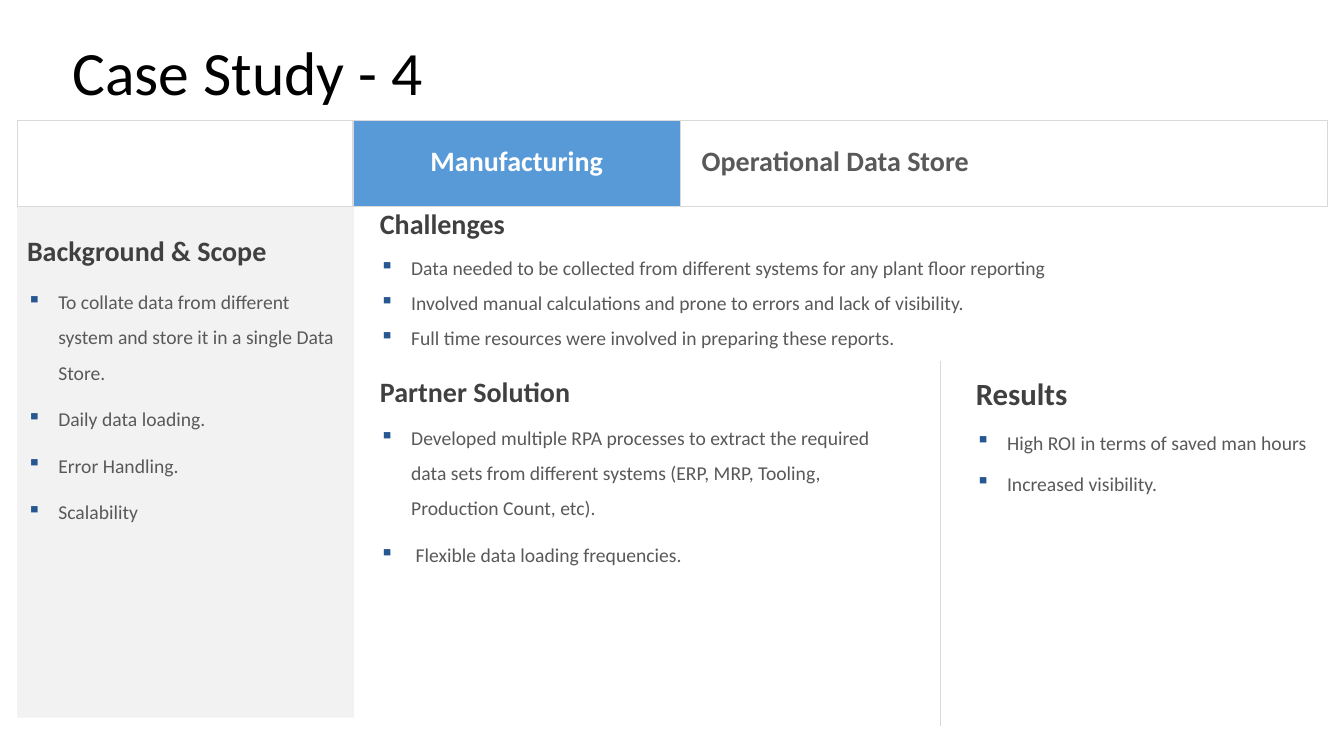
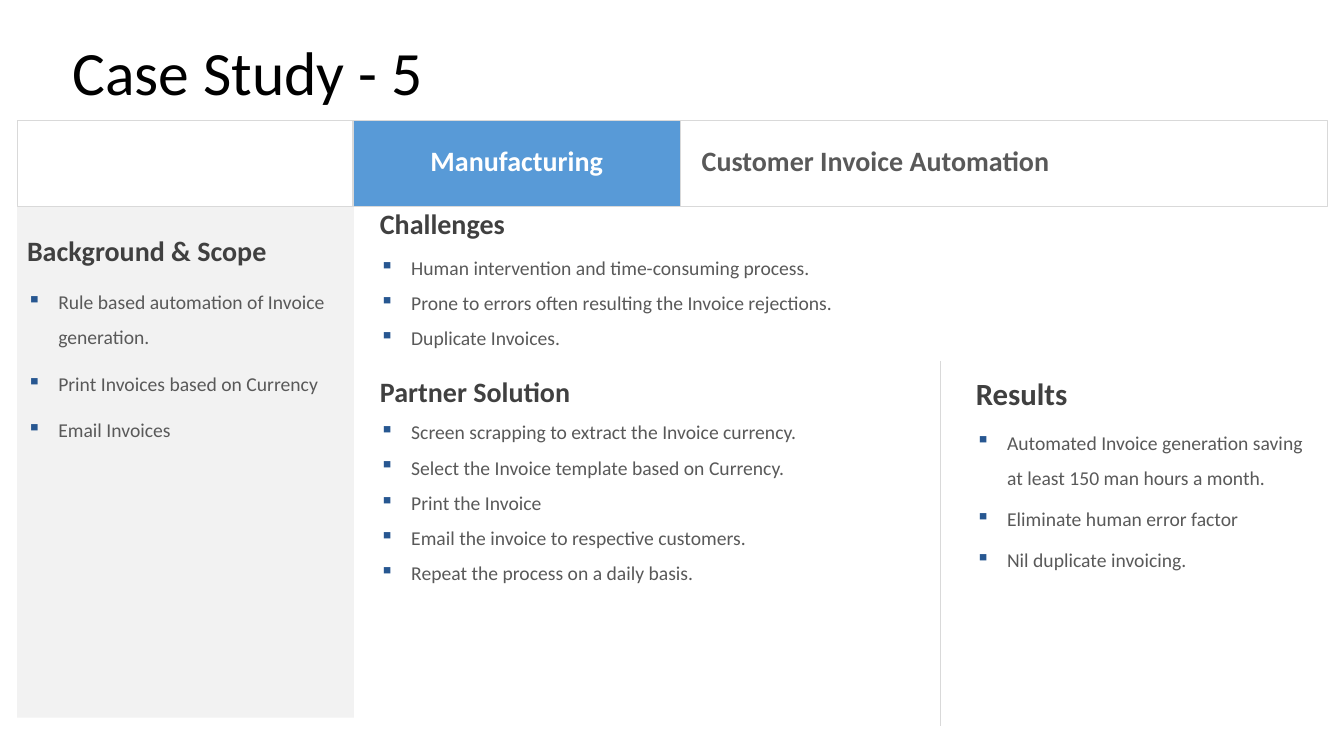
from dataclasses import dataclass

import pptx
import pptx.dml.color
import pptx.enum.shapes
import pptx.enum.text
import pptx.oxml.ns
import pptx.util
from lxml import etree
from pptx.util import Inches

HUES = {
    "band": "589AD7", "rule": "D9D9D9", "panel": "F2F2F2", "mark": "275791",
    "head": "404040", "body": "595959", "white": "FFFFFF", "black": "000000",
}
FONT = "Calibri"
ALIGN = pptx.enum.text.PP_ALIGN
ANCHOR = pptx.enum.text.MSO_ANCHOR
Box = tuple[float, float, float, float]


@dataclass(frozen=True)
class Panel:
    """Place and spacing of a headed list; gaps are in points."""
    head: str
    box: Box
    size: int = 20
    lead: float = 1.0
    after: int = 0
    gap: int = 0
    fill: str | None = None


@dataclass(frozen=True)
class Case:
    title: str
    topic: str
    scope: list[str]
    pains: list[str]
    fixes: list[str]
    gains: list[str]
    fix_gap: int = 0


CASES = [
    Case(
        "Case Study - 4", "Operational Data Store",
        ["To collate data from different system and store it in a single Data Store.",
         "Daily data loading.", "Error Handling.", "Scalability"],
        ["Data needed to be collected from different systems for any plant floor reporting",
         "Involved manual calculations and prone to errors and lack of visibility.",
         "Full time resources were involved in preparing these reports."],
        ["Developed multiple RPA processes to extract the required data sets from "
         "different systems (ERP, MRP, Tooling, Production Count, etc).",
         " Flexible data loading frequencies."],
        ["High ROI in terms of saved man hours", "Increased visibility."],
        fix_gap=4,
    ),
    Case(
        "Case Study - 5", "Customer Invoice Automation",
        ["Rule based automation of Invoice generation.",
         "Print Invoices based on Currency", "Email Invoices"],
        ["Human intervention and time-consuming process.",
         "Prone to errors often resulting the Invoice rejections.",
         "Duplicate Invoices."],
        ["Screen scrapping to extract the Invoice currency.",
         "Select the Invoice template based on Currency.",
         "Print the Invoice",
         "Email the invoice to respective customers.",
         "Repeat the process on a daily basis."],
        ["Automated Invoice generation saving at least 150 man hours a month.",
         "Eliminate human error factor", "Nil duplicate invoicing."],
    ),
]


def tint(name: str) -> pptx.dml.color.RGBColor:
    return pptx.dml.color.RGBColor.from_string(HUES[name])


def add_run(para, text: str, size: int, hue: str, bold: bool = False) -> None:
    run = para.add_run()
    run.text = text
    run.font.name = FONT
    run.font.size = pptx.util.Pt(size)
    run.font.bold = bold
    run.font.color.rgb = tint(hue)


def add_mark(para) -> None:
    """Give the paragraph a hanging square bullet."""
    props = para._p.get_or_add_pPr()
    props.set("marL", str(Inches(0.31)))
    props.set("indent", str(-Inches(0.31)))
    qn = pptx.oxml.ns.qn
    hue = etree.SubElement(props, qn("a:buClr"))
    etree.SubElement(hue, qn("a:srgbClr")).set("val", HUES["mark"])
    etree.SubElement(props, qn("a:buChar")).set("char", "▪")


def add_rect(slide, box: Box, fill: str | None = None, line: str | None = None):
    kind = pptx.enum.shapes.MSO_SHAPE.RECTANGLE
    rect = slide.shapes.add_shape(kind, *map(Inches, box))
    rect.shadow.inherit = False
    if fill:
        rect.fill.solid()
        rect.fill.fore_color.rgb = tint(fill)
    else:
        rect.fill.background()
    if line:
        rect.line.color.rgb = tint(line)
        rect.line.width = pptx.util.Pt(0.75)
    else:
        rect.line.fill.background()
    return rect


def add_line(slide, box: Box) -> None:
    """Draw a thin rule between the two points in box."""
    kind = pptx.enum.shapes.MSO_CONNECTOR.STRAIGHT
    rule = slide.shapes.add_connector(kind, *map(Inches, box))
    rule.line.color.rgb = tint("rule")
    rule.line.width = pptx.util.Pt(0.75)
    etree.SubElement(rule._element.spPr, pptx.oxml.ns.qn("a:effectLst"))


def set_label(shape, text: str, size: int, hue: str, bold: bool = True,
              lead: float = 0.75, align=ALIGN.LEFT, left: float = 0.1) -> None:
    """Write one vertically centred line into the shape."""
    frame = shape.text_frame
    frame.word_wrap = True
    frame.vertical_anchor = ANCHOR.MIDDLE
    frame.margin_left = Inches(left)
    para = frame.paragraphs[0]
    para.alignment = align
    para.line_spacing = lead
    add_run(para, text, size, hue, bold)


def add_panel(slide, panel: Panel, items: list[str]) -> None:
    if panel.fill:
        shape = add_rect(slide, panel.box, panel.fill)
        shape.text_frame.margin_top = Inches(0.1)
    else:
        shape = slide.shapes.add_textbox(*map(Inches, panel.box))
    frame = shape.text_frame
    frame.word_wrap = True
    frame.vertical_anchor = ANCHOR.TOP
    head = frame.paragraphs[0]
    head.alignment = ALIGN.LEFT
    head.line_spacing = panel.lead
    head.space_after = pptx.util.Pt(panel.after)
    add_run(head, panel.head, panel.size, "head", True)
    for item in items:
        para = frame.add_paragraph()
        para.alignment = ALIGN.LEFT
        para.line_spacing = 1.5
        para.space_before = para.space_after = pptx.util.Pt(panel.gap)
        add_mark(para)
        add_run(para, item, 14, "body")


def add_case(deck, case: Case) -> None:
    slide = deck.slides.add_slide(deck.slide_layouts[6])
    band = add_rect(slide, (3.5, 1.2, 3.25, 0.85), "band", "rule")
    set_label(band, "Manufacturing", 20, "white", align=ALIGN.CENTER)
    topic = add_rect(slide, (6.75, 1.2, 6.42, 0.85), line="rule")
    set_label(topic, case.topic, 20, "body", left=0.21)
    add_panel(slide, Panel("Background & Scope", (0.17, 2.05, 3.34, 5.07),
                           lead=1.5, after=4, gap=4, fill="panel"), case.scope)
    add_panel(slide, Panel("Challenges", (3.67, 2.08, 9.5, 1.52),
                           lead=0.75, after=3), case.pains)
    add_panel(slide, Panel("Partner Solution", (3.67, 3.67, 5.25, 3.54),
                           gap=case.fix_gap), case.fixes)
    add_panel(slide, Panel("Results", (9.58, 3.67, 3.58, 3.54),
                           size=22, after=3, gap=2), case.gains)
    add_line(slide, (9.33, 3.58, 9.33, 7.2))
    add_rect(slide, (0.17, 1.2, 3.34, 0.85), line="rule")
    title = slide.shapes.add_textbox(*map(Inches, (0.62, 0.35, 11.5, 0.8)))
    set_label(title, case.title, 44, "black", bold=False, lead=0.9)


def main() -> None:
    deck = pptx.Presentation()
    deck.slide_width = Inches(13.33)
    deck.slide_height = Inches(7.5)
    for case in CASES:
        add_case(deck, case)
    deck.save("out.pptx")


if __name__ == "__main__":
    main()
